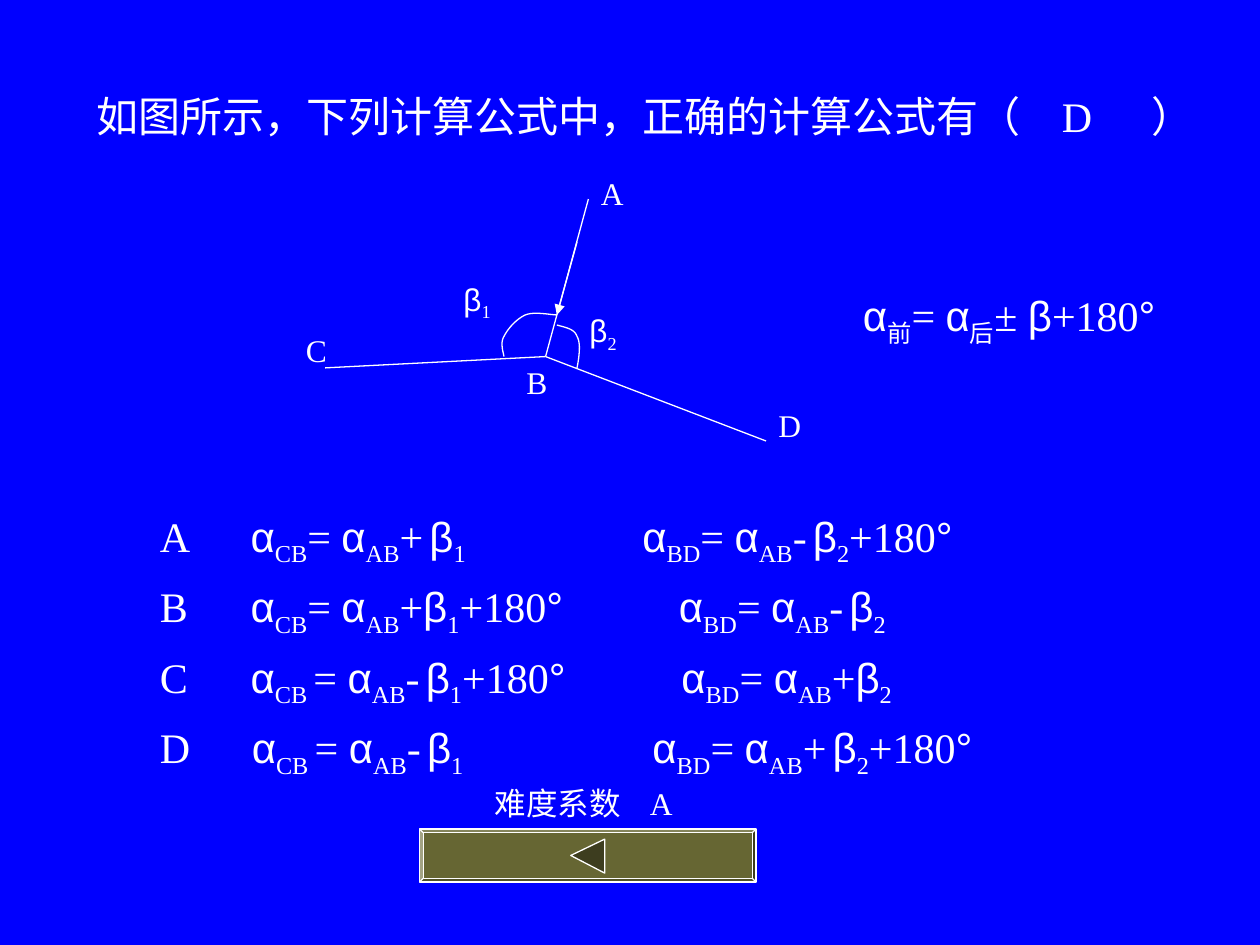
from dataclasses import dataclass
from itertools import groupby

from lxml import etree
from pptx import Presentation
from pptx.dml.color import RGBColor
from pptx.enum.shapes import MSO_CONNECTOR, MSO_SHAPE
from pptx.enum.text import MSO_AUTO_SIZE
from pptx.oxml.ns import qn
from pptx.util import Inches, Pt

STRAIGHT = MSO_CONNECTOR.STRAIGHT
BEVEL = MSO_SHAPE.BEVEL
GROW = MSO_AUTO_SIZE.SHAPE_TO_FIT_TEXT
COLORS = {"background": "0000FF", "ink": "FFFFFF", "button": "666633", "arrow": "3D3D1F"}
LATIN, SYMBOL = "Times New Roman", "Arial"
SYMBOLS = "αβ°"
CURVE_STEPS = 12

Point = tuple[float, float]


@dataclass
class Line:
    """Text with ~subscripts~ and tab stops in inches."""
    text: str
    tabs: tuple[float, ...] = ()


@dataclass
class TextBlock:
    left: float
    top: float
    width: float
    height: float
    lines: list[Line]
    size: int = 18
    gap: float = 0


@dataclass
class Ray:
    start: Point
    end: Point
    arrow: bool = False


QUESTION = [
    TextBlock(8.33, 0.67, 0.75, 0.5, [Line("D")], 24),
    TextBlock(0.67, 0.67, 9.08, 0.5,
              [Line("如图所示，下列计算公式中，正确的计算公式有（\t）", (8.37,))], 24),
]
OPTIONS = TextBlock(1.17, 4, 8.08, 2.24, [
    Line("A\tα~CB~= α~AB~+~ ~β~1~\tα~BD~= α~AB~-~ ~β~2~+180°", (0.72, 3.83)),
    Line("B\tα~CB~= α~AB~+β~1~+180°\tα~BD~= α~AB~-~ ~β~2~", (0.72, 4.12)),
    Line("C\tα~CB ~= α~AB~-~ ~β~1~+180°\tα~BD~= α~AB~+β~2~", (0.72, 4.14)),
    Line("D\tα~CB ~= α~AB~-~ ~β~1~\tα~BD~= α~AB~+~ ~β~2~+180°", (0.73, 3.91)),
], 24, 7.5)
DIFFICULTY = TextBlock(3.83, 6.17, 1.75, 0.4, [Line("难度系数\tA", (1.23,))])
RULE = TextBlock(6.75, 2.25, 2.75, 0.56, [Line("α~前~= α~后~± β+180°")], 24)
LABELS = [
    TextBlock(4.67, 1.33, 0.58, 0.4, [Line("A")]),
    TextBlock(4.08, 2.83, 0.42, 0.4, [Line("B")]),
    TextBlock(2.33, 2.58, 0.42, 0.4, [Line("C")]),
    TextBlock(6.08, 3.17, 0.5, 0.4, [Line("D")]),
    TextBlock(3.58, 2.17, 0.58, 0.44, [Line("β~1~")]),
    TextBlock(4.58, 2.42, 0.58, 0.44, [Line("β~2~")]),
]

STATION_B = (4.33, 2.83)
RAYS = [
    Ray((4.67, 1.58), STATION_B),
    Ray(STATION_B, (2.58, 2.92)),
    Ray(STATION_B, (6.08, 3.5)),
    Ray((4.58, 1.92), (4.42, 2.5), arrow=True),
]
# Each arc: start, then two handles and an end for every cubic piece
ANGLE_ARCS = [
    [(4, 2.83), (3.99, 2.78), (3.97, 2.72), (4, 2.67), (4.03, 2.61), (4.1, 2.53),
     (4.17, 2.5), (4.24, 2.47), (4.37, 2.5), (4.42, 2.5)],
    [(4.42, 2.58), (4.49, 2.6), (4.56, 2.61), (4.58, 2.67), (4.61, 2.72),
     (4.6, 2.82), (4.58, 2.92)],
]
BACK_ARROW = [(4.53, 6.79), (4.8, 6.66), (4.8, 6.93)]


def rgb(name: str) -> RGBColor:
    return RGBColor.from_string(COLORS[name])


def style_outline(shape) -> None:
    shape.line.color.rgb = rgb("ink")
    shape.line.width = Pt(0.75)


def style_shape(shape, fill: str | None = None) -> None:
    shape.shadow.inherit = False
    style_outline(shape)
    if fill:
        shape.fill.solid()
        shape.fill.fore_color.rgb = rgb(fill)
    else:
        shape.fill.background()


def add_run(paragraph, text: str, size: int, symbol: bool, subscript: bool) -> None:
    run = paragraph.add_run()
    run.text = text
    formats = {"size": Pt(size), "name": SYMBOL if symbol else LATIN}
    for attribute, value in formats.items():
        setattr(run.font, attribute, value)
    run.font.color.rgb = rgb("ink")
    if subscript:
        run._r.get_or_add_rPr().set("baseline", "-25000")


def write_line(paragraph, line: Line, size: int) -> None:
    if line.tabs:
        stops = etree.SubElement(paragraph._p.get_or_add_pPr(), qn("a:tabLst"))
        for position in line.tabs:
            etree.SubElement(stops, qn("a:tab"), pos=str(int(Inches(position))), algn="l")
    for index, part in enumerate(line.text.split("~")):
        for symbol, chars in groupby(part, lambda char: char in SYMBOLS):
            add_run(paragraph, "".join(chars), size, symbol, index % 2 == 1)


def add_text(slide, block: TextBlock) -> None:
    place = (block.left, block.top, block.width, block.height)
    frame = slide.shapes.add_textbox(*map(Inches, place)).text_frame
    frame.word_wrap = True
    frame.auto_size = GROW
    for index, line in enumerate(block.lines):
        paragraph = frame.add_paragraph() if index else frame.paragraphs[0]
        write_line(paragraph, line, block.size)
        if index and block.gap:
            paragraph.space_before = Pt(block.gap)


def add_ray(slide, ray: Ray) -> None:
    connector = slide.shapes.add_connector(STRAIGHT, *map(Inches, ray.start + ray.end))
    style_outline(connector)
    if ray.arrow:
        etree.SubElement(connector.line._get_or_add_ln(), qn("a:tailEnd"), type="triangle")
    etree.SubElement(connector._element.spPr, qn("a:effectLst"))


def curve_points(knots: list[Point]) -> list[Point]:
    points = [knots[0]]
    for first in range(0, len(knots) - 1, 3):
        piece = knots[first:first + 4]
        for step in range(1, CURVE_STEPS + 1):
            t = step / CURVE_STEPS
            weights = ((1 - t) ** 3, 3 * t * (1 - t) ** 2, 3 * t * t * (1 - t), t ** 3)
            points.append(tuple(sum(w * p[axis] for w, p in zip(weights, piece))
                                for axis in (0, 1)))
    return points


def add_outline(slide, points: list[Point], fill: str | None = None) -> None:
    start, *others = [(Inches(x), Inches(y)) for x, y in points]
    builder = slide.shapes.build_freeform(*start)
    builder.add_line_segments(others, close=fill is not None)
    style_shape(builder.convert_to_shape(), fill)


def add_back_button(slide) -> None:
    button = slide.shapes.add_shape(BEVEL, *map(Inches, (3.33, 6.58, 2.67, 0.42)))
    button.adjustments[0] = 0.07
    style_shape(button, "button")
    add_outline(slide, BACK_ARROW, "arrow")


def main() -> None:
    prs = Presentation()
    prs.slide_width, prs.slide_height = Inches(10), Inches(7.5)
    slide = prs.slides.add_slide(prs.slide_layouts[6])
    slide.background.fill.solid()
    slide.background.fill.fore_color.rgb = rgb("background")

    # Question and answer options
    for block in [*QUESTION, OPTIONS]:
        add_text(slide, block)

    # Footer: back button and difficulty
    add_back_button(slide)
    add_text(slide, DIFFICULTY)

    # Angle diagram with its rule
    for ray in RAYS:
        add_ray(slide, ray)
    for knots in ANGLE_ARCS:
        add_outline(slide, curve_points(knots))
    for block in [*LABELS, RULE]:
        add_text(slide, block)

    prs.save("out.pptx")


if __name__ == "__main__":
    main()
